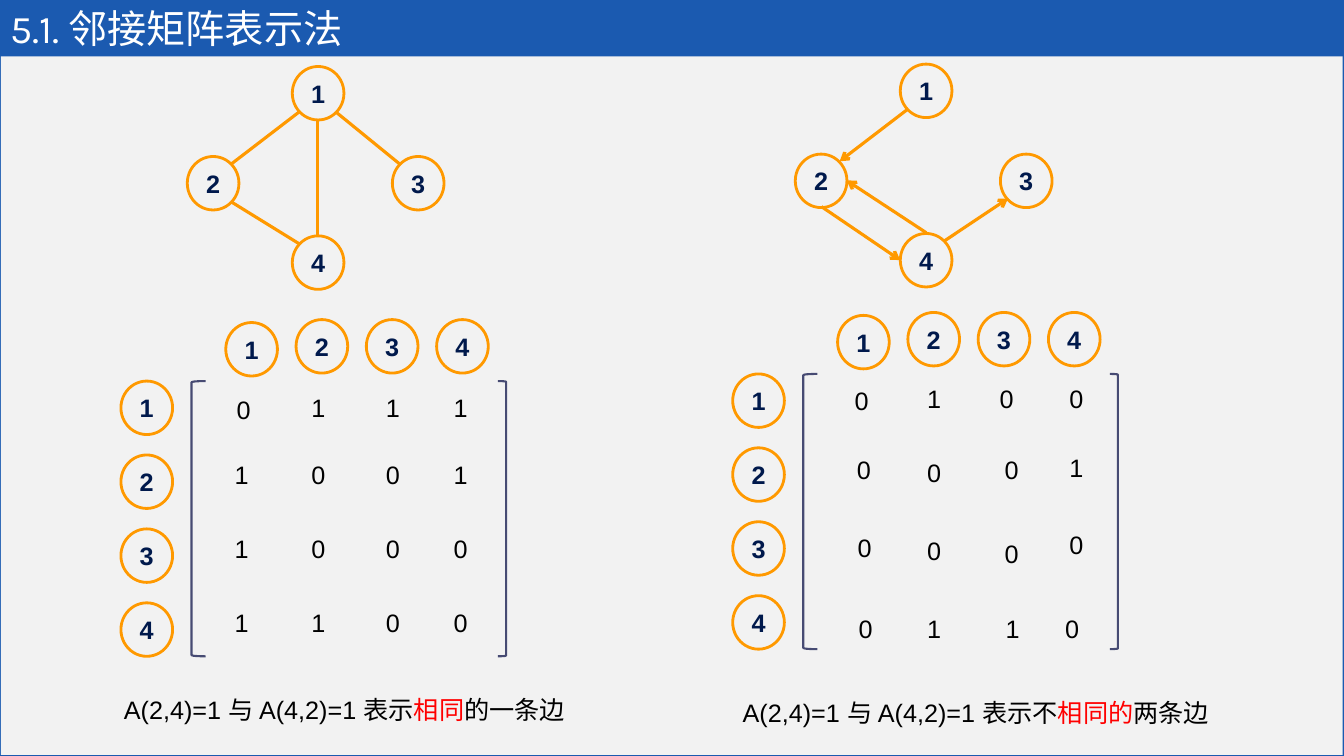
from pptx import Presentation
from pptx.dml.color import RGBColor
from pptx.enum.shapes import MSO_CONNECTOR, MSO_SHAPE
from pptx.enum.text import MSO_ANCHOR, PP_ALIGN
from pptx.oxml.ns import qn
from pptx.util import Pt
from lxml import etree

STRAIGHT = MSO_CONNECTOR.STRAIGHT
RECTANGLE, OVAL = MSO_SHAPE.RECTANGLE, MSO_SHAPE.OVAL
LEFT_BRACKET, RIGHT_BRACKET = MSO_SHAPE.LEFT_BRACKET, MSO_SHAPE.RIGHT_BRACKET
MIDDLE = MSO_ANCHOR.MIDDLE
LEFT, CENTER = PP_ALIGN.LEFT, PP_ALIGN.CENTER

COLORS = {"blue": "1B5AB0", "panel": "F2F2F2", "orange": "FF9900", "navy": "00194C",
          "bracket": "474B73", "black": "000000", "red": "FF0000", "white": "FFFFFF"}

TITLE = "5.1. 邻接矩阵表示法"
NODES = {"1": (75, 0), "2": (0, 64.3), "3": (146.5, 64.3), "4": (75, 121)}

# Edges run from start to end in slide coordinates; arrows point at the end.
UNDIRECTED = {
    "graph": (133.8, 47.5),
    "arrows": False,
    "edges": [((213.8, 79.9), (164.9, 117.4)), ((226.8, 85), (226.8, 168.5)),
              ((213.8, 174.2), (164.9, 144)), ((239.8, 79.9), (285.8, 117.4))],
    "matrix": (86.4, 272.2),
    "rows": ["0111", "1001", "1000", "1100"],
    "columns_at": (160.6, 215.3, 268.6, 317),
    "rows_at": (276.5, 324.7, 377.3, 430.4),
    "nudges": {(0, 0): (1.4, 1.4)},
    "caption_at": (81.4, 492.5, 343.4),
    "caption": [("A(2,4)=1 与 A(4,2)=1 表示", "black"), ("相同", "red"), ("的一条边", "black")],
}
DIRECTED = {
    "graph": (568.1, 45.8),
    "arrows": True,
    "edges": [((648.7, 77.8), (599.8, 115.2)), ((661.7, 166.3), (604.8, 128.9)),
              ((586.8, 147.6), (643, 185.8)), ((674.6, 172.1), (720, 141.8))],
    "matrix": (523.4, 267.1),
    "rows": ["0100", "0001", "0000", "0110"],
    "columns_at": (605, 655.2, 710.6, 756.7),
    "rows_at": (270, 321.1, 378.7, 434.2),
    "nudges": {(0, 0): (-1.6, 1.4), (0, 2): (-3.6, 0), (1, 1): (0, 2.2), (1, 3): (0, -1.4),
               (2, 0): (0.6, -2.1), (2, 2): (0, 2.2), (2, 3): (0, -4.3), (3, 0): (1.2, 0),
               (3, 2): (0.7, 0), (3, 3): (-2.9, 0.7)},
    "caption_at": (523.4, 494.6, 361.4),
    "caption": [("A(2,4)=1 与 A(4,2)=1 表示不", "black"), ("相同的", "red"), ("两条边", "black")],
}

NODE_W, NODE_H = 36.9, 38.2
HEADER_ROW_STEP, HEADER_COLUMN_STEP = 52.8, 50.2


def color(name):
    return RGBColor.from_string(COLORS[name])


def add_span(para, text, color_name, size=18, font="Arial", bold=False):
    span = para.add_run()
    span.text = text
    span.font.size, span.font.name, span.font.bold = Pt(size), font, bold
    span.font.color.rgb = color(color_name)


def add_text(shapes, left, top, width, spans):
    box = shapes.add_textbox(Pt(left), Pt(top), Pt(width), Pt(28.8))
    box.text_frame.word_wrap = False
    for text, color_name in spans:
        add_span(box.text_frame.paragraphs[0], text, color_name)


def add_node(shapes, left, top, label):
    node = shapes.add_shape(OVAL, Pt(left), Pt(top), Pt(NODE_W), Pt(NODE_H))
    node.shadow.inherit = False
    node.fill.solid()
    node.fill.fore_color.rgb = color("panel")
    node.line.color.rgb = color("orange")
    node.line.width = Pt(2)
    node.text_frame.vertical_anchor = MIDDLE
    para = node.text_frame.paragraphs[0]
    para.alignment = CENTER
    add_span(para, label, "navy", bold=True)


def add_edge(shapes, start, end, arrow):
    edge = shapes.add_connector(STRAIGHT, *map(Pt, start + end))
    edge.line.color.rgb = color("orange")
    edge.line.width = Pt(2.25)
    if arrow:
        etree.SubElement(edge.line._get_or_add_ln(), qn("a:tailEnd"), type="arrow")
    etree.SubElement(edge._element.spPr, qn("a:effectLst"))


def add_bracket(shapes, kind, left, top, width):
    bracket = shapes.add_shape(kind, Pt(left), Pt(top), Pt(width), Pt(196.6))
    bracket.shadow.inherit = False
    bracket.fill.background()
    bracket.line.color.rgb = color("bracket")
    bracket.line.width = Pt(1.5)


def add_matrix(shapes, half):
    left, top = half["matrix"]
    add_bracket(shapes, LEFT_BRACKET, left + 50.4, top, 10)
    add_bracket(shapes, RIGHT_BRACKET, left + 269.3, top, 5.8)
    for index, label in enumerate(NODES):
        add_node(shapes, left, top + index * HEADER_ROW_STEP, label)
        header_top = top - (41.8 if index == 0 else 43.9)
        add_node(shapes, left + 74.9 + index * HEADER_COLUMN_STEP, header_top, label)
    for row, values in enumerate(half["rows"]):
        for column, value in enumerate(values):
            right, down = half["nudges"].get((row, column), (0, 0))
            add_text(shapes, half["columns_at"][column] + right, half["rows_at"][row] + down,
                     24.5, [(value, "black")])


def add_half(shapes, half):
    """Draw one graph, its adjacency matrix and its caption."""
    graph_left, graph_top = half["graph"]
    for label, (left, top) in NODES.items():
        add_node(shapes, graph_left + left, graph_top + top, label)
    for start, end in half["edges"]:
        add_edge(shapes, start, end, half["arrows"])
    add_matrix(shapes.add_group_shape().shapes, half)
    left, top, width = half["caption_at"]
    add_text(shapes, left, top, width, half["caption"])


def main():
    deck = Presentation()
    deck.slide_width, deck.slide_height = Pt(960), Pt(540)
    page = deck.slides.add_slide(deck.slide_layouts[5])
    page.background.fill.solid()
    page.background.fill.fore_color.rgb = color("blue")

    panel = page.shapes.add_shape(RECTANGLE, Pt(0.7), Pt(40.3), Pt(958.3), Pt(499))
    panel.shadow.inherit = False
    panel.fill.solid()
    panel.fill.fore_color.rgb = color("panel")
    panel.line.fill.background()

    title = page.shapes.title
    title.left, title.top, title.width, title.height = Pt(0), Pt(0.7), Pt(803.5), Pt(38.2)
    title.text_frame.vertical_anchor = MIDDLE
    para = title.text_frame.paragraphs[0]
    para.alignment = LEFT
    add_span(para, TITLE, "white", size=28, font="Karla")

    for half in (UNDIRECTED, DIRECTED):
        add_half(page.shapes, half)
    deck.save("out.pptx")


if __name__ == "__main__":
    main()
